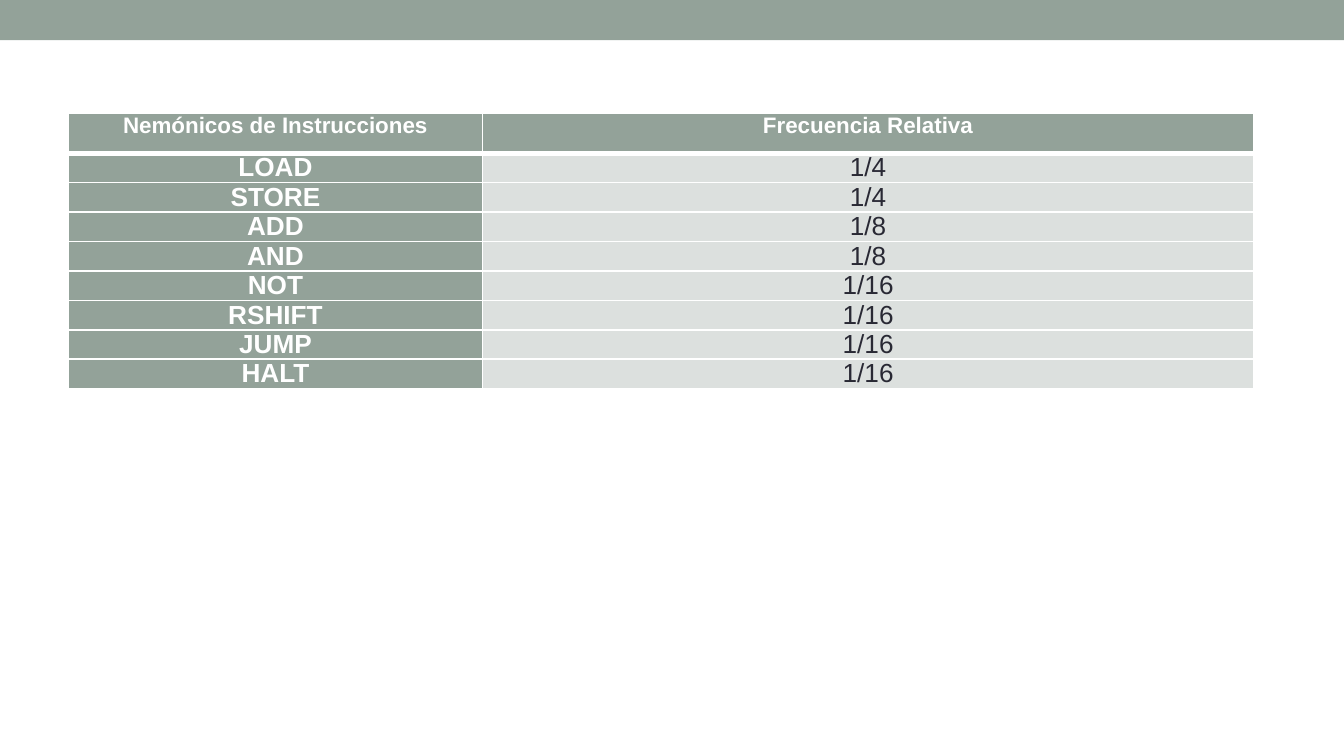
from typing import NamedTuple

from lxml.etree import SubElement
from pptx import Presentation
from pptx.dml.color import RGBColor as RGB
from pptx.enum.shapes import MSO_SHAPE as Shape
from pptx.enum.text import PP_ALIGN as Align
from pptx.oxml.ns import qn
from pptx.util import Inches, Pt

HUES = {"sage": "93A299", "pale": "DCE0DE", "ink": "292934", "white": "FFFFFF"}
WIDTHS = (3.08, 5.74)
HEAD_H, ROW_H = 0.3, 0.18


class Code(NamedTuple):
    name: str
    freq: str


HEADS = Code("Nemónicos de Instrucciones", "Frecuencia Relativa")
CODES = [
    Code("LOAD", "1/4"),
    Code("STORE", "1/4"),
    Code("ADD", "1/8"),
    Code("AND", "1/8"),
    Code("NOT", "1/16"),
    Code("RSHIFT", "1/16"),
    Code("JUMP", "1/16"),
    Code("HALT", "1/16"),
]


def rgb(hue: str) -> RGB:
    return RGB.from_string(HUES[hue])


def write(frame, text: str, *, size: int = 14, hue: str = "white",
          bold: bool = True) -> None:
    par = frame.paragraphs[0]
    par.alignment = Align.CENTER
    run = par.add_run()
    run.text = text
    font = run.font
    font.name, font.size, font.bold = "Arial", Pt(size), bold
    font.color.rgb = rgb(hue)


def edge(cell, side: str, width: float) -> None:
    """Draw a white border on one side: L, R, T or B."""
    line = SubElement(cell._tc.get_or_add_tcPr(), qn(f"a:ln{side}"),
                      w=str(Pt(width)))
    fill = SubElement(line, qn("a:solidFill"))
    SubElement(fill, qn("a:srgbClr"), val=HUES["white"])


def draw_cell(cell, text: str, row: int, col: int) -> None:
    head = row == 0
    dark = head or col == 0
    cell.margin_left = cell.margin_right = Inches(0.07)
    cell.margin_top = cell.margin_bottom = 0
    for side in "LRTB":
        thick = (head and side == "B") or (row == 1 and side == "T")
        edge(cell, side, 3 if thick else 1)
    cell.fill.solid()
    cell.fill.fore_color.rgb = rgb("sage" if dark else "pale")
    write(cell.text_frame, text, size=12 if head else 14,
          hue="white" if dark else "ink", bold=dark)


def draw_table(slide, rows: list[Code]) -> None:
    tall = HEAD_H + ROW_H * (len(rows) - 1)
    table = slide.shapes.add_table(
        len(rows), len(WIDTHS), Inches(0.51), Inches(0.84),
        Inches(sum(WIDTHS)), Inches(tall)).table
    for col, wide in zip(table.columns, WIDTHS):
        col.width = Inches(wide)
    for r, code in enumerate(rows):
        table.rows[r].height = Inches(ROW_H if r else HEAD_H)
        for c, text in enumerate(code):
            draw_cell(table.cell(r, c), text, r, c)


def draw_bar(slide) -> None:
    bar = slide.shapes.add_shape(Shape.RECTANGLE, 0, 0, Inches(10), Inches(0.3))
    bar.shadow.inherit = False
    bar.fill.solid()
    bar.fill.fore_color.rgb = rgb("sage")
    bar.line.fill.background()


def main() -> None:
    deck = Presentation()
    deck.slide_width = Inches(10)
    deck.slide_height = deck.slide_width * 9 // 16
    slide = deck.slides.add_slide(deck.slide_layouts[6])
    draw_bar(slide)
    draw_table(slide, [HEADS, *CODES])
    deck.save("out.pptx")


if __name__ == "__main__":
    main()
